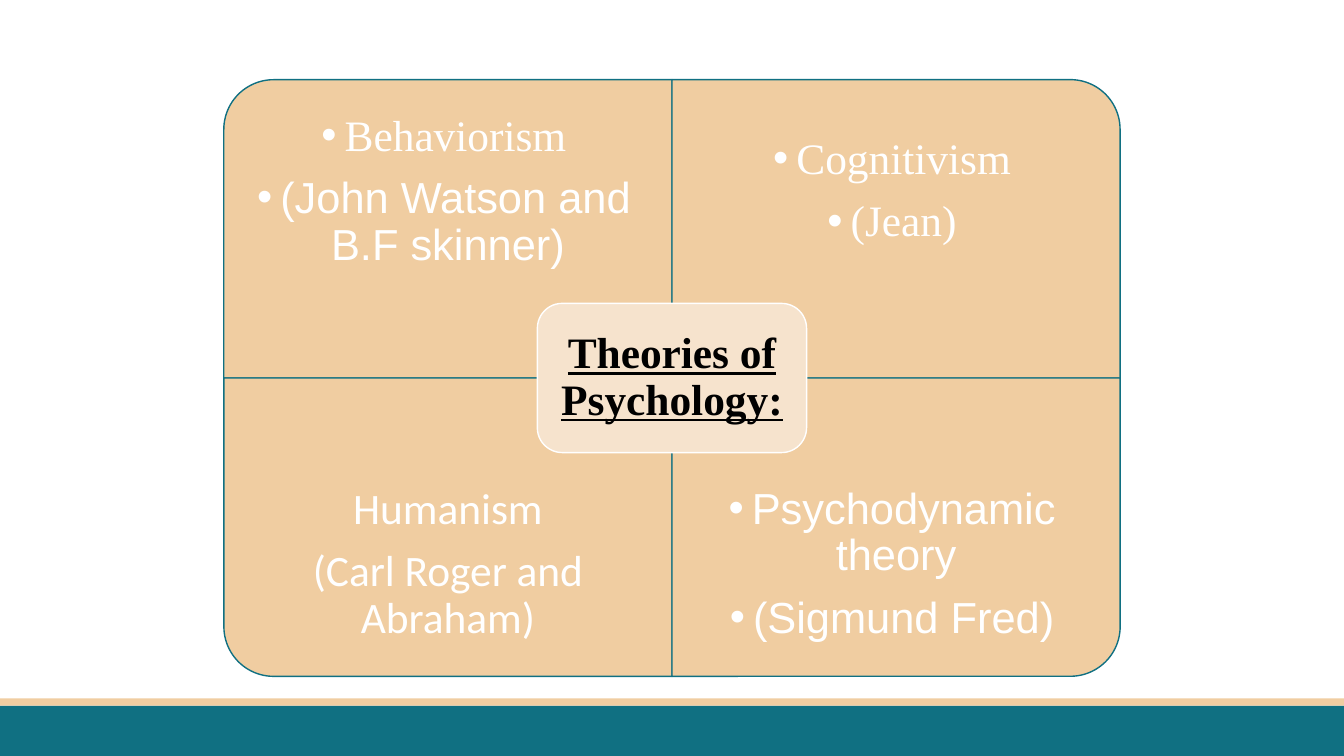
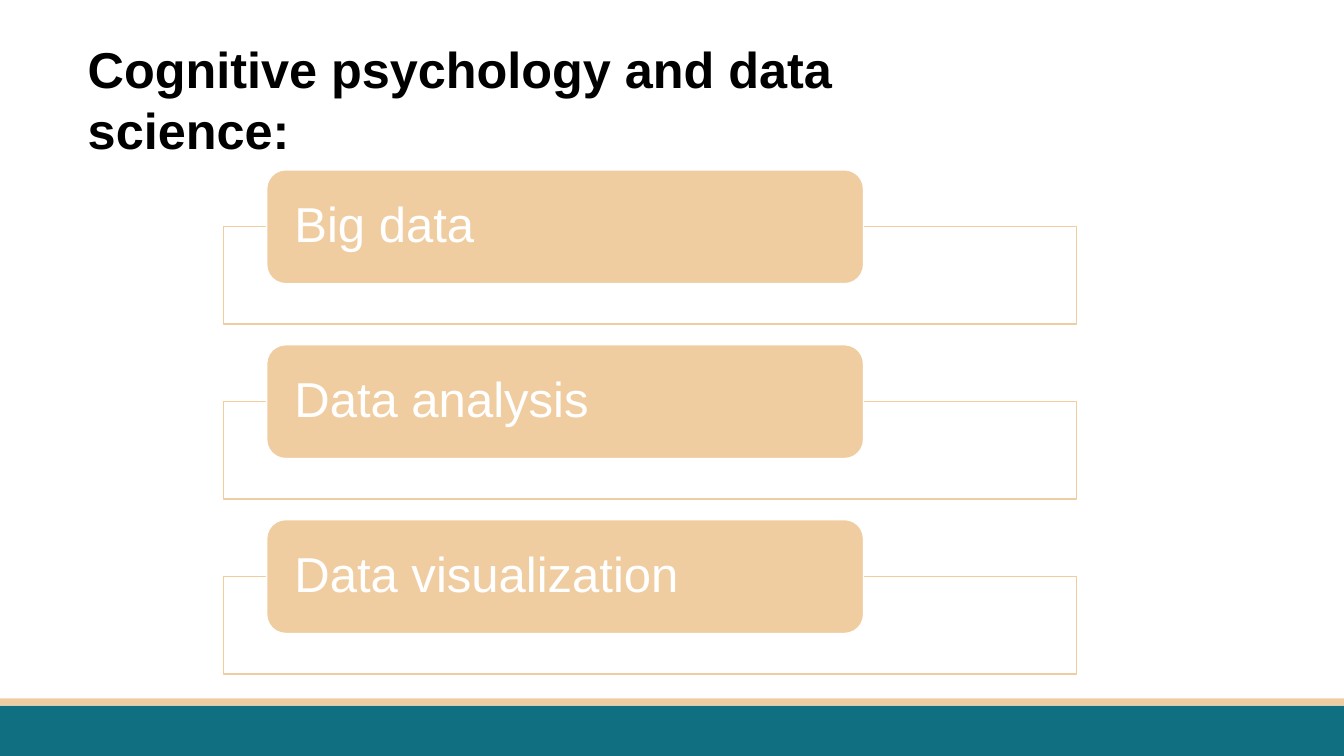
"""Builds two slides on theories of psychology and on data science."""
from lxml import etree
from pptx import Presentation
from pptx import util as u
from pptx.dml.color import RGBColor
from pptx.enum import shapes, text
from pptx.oxml.ns import qn

TEAL, SAND, CREAM = "107082", "F0CDA1", "F6E3CD"
WHITE, BLACK = "FFFFFF", "000000"
SERIF, SANS, HUMANIST = "Times New Roman", "Arial", "Calibri"
SHAPE = shapes.MSO_SHAPE
CENTER, LEFT = text.PP_ALIGN.CENTER, text.PP_ALIGN.LEFT
MIDDLE, TOP = text.MSO_ANCHOR.MIDDLE, text.MSO_ANCHOR.TOP

WIDTH, HEIGHT = 13.33, 7.5
BANDS = [(7, 0.5, TEAL), (6.93, 0.07, SAND)]
BULLET_GAP = 0.23

THEORY_HEADING = "Theories of Psychology:"
THEORIES = [
    {"lines": [("Behaviorism", SERIF), ("(John Watson and B.F skinner)", SANS)],
     "bullet": True, "turn": 270},
    {"lines": [("Cognitivism", SERIF), ("(Jean)", SERIF)],
     "bullet": True, "turn": 0},
    {"lines": [("Humanism", HUMANIST), ("(Carl Roger and Abraham)", HUMANIST)],
     "bullet": False, "turn": 180},
    {"lines": [("Psychodynamic theory", SANS), ("(Sigmund Fred)", SANS)],
     "bullet": True, "turn": 90},
]
DATA_TITLE = "Cognitive psychology and data science:"
DATA_TOPICS = ["Big data", "Data analysis", "Data visualization"]


def rgb(value):
    """Return the colour for a hex string."""
    return RGBColor.from_string(value)


def place(left, top, width, height):
    """Return a frame given in inches as lengths."""
    return [u.Inches(value) for value in (left, top, width, height)]


def add_block(page, kind, frame, fill, line=None):
    """Add a flat preset shape, outlined only if a line colour is given."""
    block = page.shapes.add_shape(kind, *place(*frame))
    block.shadow.inherit = False
    block.fill.solid()
    block.fill.fore_color.rgb = rgb(fill)
    if line:
        block.line.color.rgb = rgb(line)
        block.line.width = u.Pt(1)
    else:
        block.line.fill.background()
    return block


def write(box, lines, size=31, color=WHITE, align=CENTER, anchor=MIDDLE,
          inset=(0.24, 0.24), spacing=0.9, bullet=False, bold=False,
          underline=False):
    """Fill a box with (text, font) lines in one format."""
    frame = box.text_frame
    frame.word_wrap = True
    frame.auto_size = text.MSO_AUTO_SIZE.NONE
    frame.vertical_anchor = anchor
    frame.margin_left = frame.margin_right = u.Inches(inset[0])
    frame.margin_top = frame.margin_bottom = u.Inches(inset[1])
    for number, (words, font) in enumerate(lines):
        para = frame.add_paragraph() if number else frame.paragraphs[0]
        para.alignment = align
        para.line_spacing = spacing
        para.space_before = u.Pt(0.35 * size if number else 0)
        if bullet:
            properties = para._p.get_or_add_pPr()
            properties.set("marL", "0")
            properties.set("indent", str(-u.Inches(BULLET_GAP)))
            etree.SubElement(properties, qn("a:buFont")).set("typeface", SANS)
            etree.SubElement(properties, qn("a:buChar")).set("char", "•")
        span = para.add_run()
        span.text = words
        span.font.name = font
        span.font.size = u.Pt(size)
        span.font.bold = bold
        span.font.underline = underline
        span.font.color.rgb = rgb(color)


def add_page(deck, layout_name):
    """Add a slide with the shared bands at its foot."""
    page = deck.slides.add_slide(deck.slide_layouts.get_by_name(layout_name))
    for top, height, color in BANDS:
        add_block(page, SHAPE.RECTANGLE, (0, top, WIDTH, height), color)
    return page


def build_theories(deck):
    """Draw four quadrants around a central heading."""
    page = add_page(deck, "Blank")
    left, top, width, height, text_height = 2.22, 0.79, 4.445, 2.96, 2.22
    for number, theory in enumerate(THEORIES):
        row, column = divmod(number, 2)
        x, y = left + column * width, top + row * height
        shift = (width - height) / 2 if theory["turn"] % 180 else 0
        quadrant = add_block(
            page, SHAPE.ROUND_1_RECTANGLE,
            (x + shift, y - shift, width - 2 * shift, height + 2 * shift),
            SAND, TEAL)
        quadrant.rotation = theory["turn"]
        text_top = y + row * (height - text_height)
        box = page.shapes.add_textbox(*place(x, text_top, width, text_height))
        write(box, theory["lines"], bullet=theory["bullet"])
    hub_width, hub_height = 2.67, 1.48
    hub = add_block(
        page, SHAPE.ROUNDED_RECTANGLE,
        (left + width - hub_width / 2, top + height - hub_height / 2,
         hub_width, hub_height), CREAM, WHITE)
    write(hub, [(THEORY_HEADING, SERIF)], color=BLACK, inset=(0.13, 0.13),
          bold=True, underline=True)


def build_data_topics(deck):
    """Draw a title and a column of labelled panels."""
    page = add_page(deck, "Title Only")
    title = page.shapes.title
    title.left, title.top, title.width, title.height = place(0.77, 0.33, 8.69, 1.3)
    write(title, [(DATA_TITLE, SANS)], size=36, color=BLACK, align=LEFT,
          anchor=TOP, inset=(0.1, 0.05), spacing=1.0, bold=True)
    first_top, step = 1.685, 1.735
    for number, topic in enumerate(DATA_TOPICS):
        top = first_top + number * step
        add_block(page, SHAPE.RECTANGLE, (2.22, top + 0.565, 8.46, 0.965),
                  WHITE, SAND)
        label = add_block(page, SHAPE.ROUNDED_RECTANGLE,
                          (2.645, top, 5.92, 1.13), SAND, WHITE)
        write(label, [(topic, SANS)], size=35, align=LEFT, inset=(0.22, 0))


def main():
    """Build and save the deck."""
    deck = Presentation()
    deck.slide_width, deck.slide_height = u.Inches(WIDTH), u.Inches(HEIGHT)
    build_theories(deck)
    build_data_topics(deck)
    deck.save("out.pptx")


if __name__ == "__main__":
    main()
